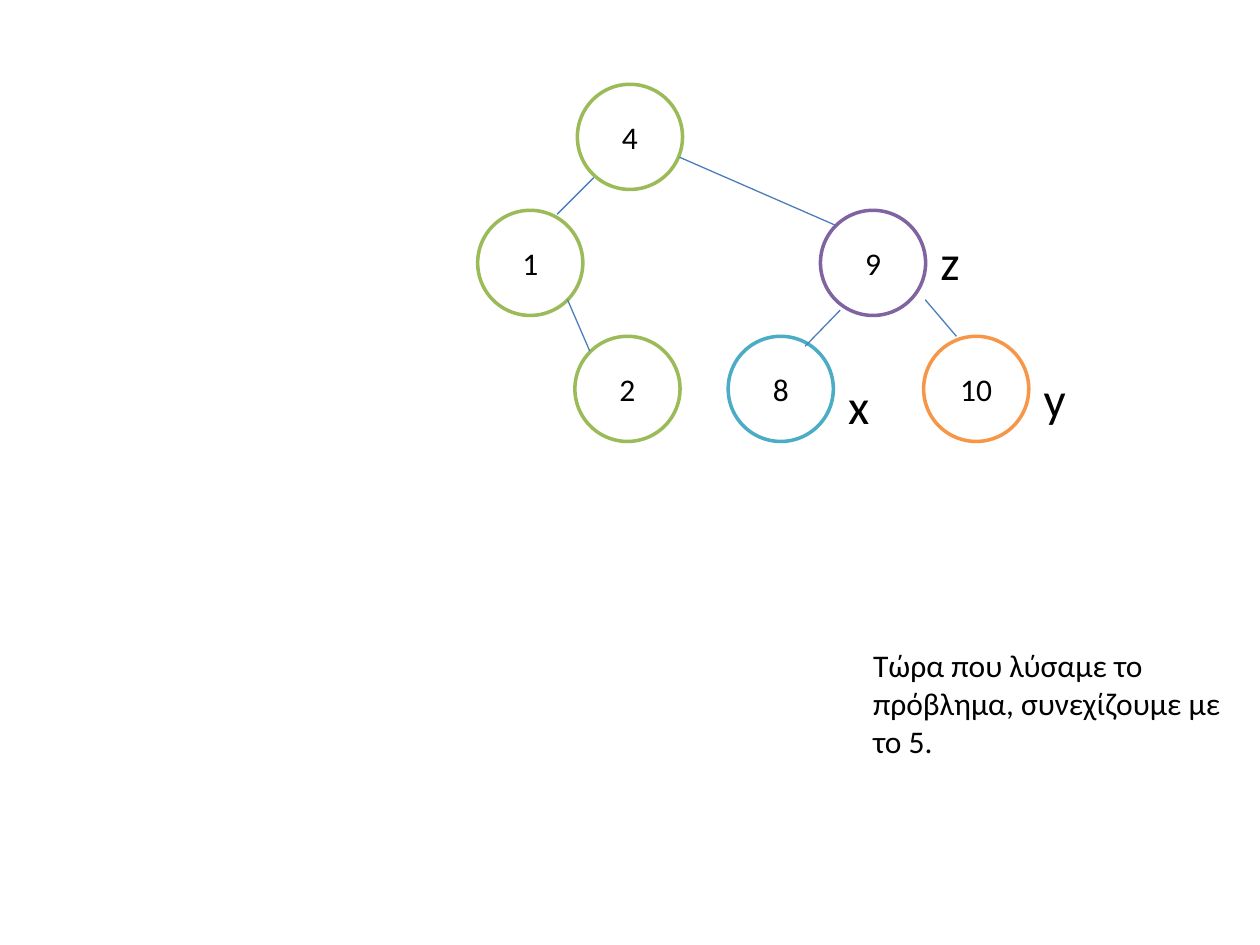
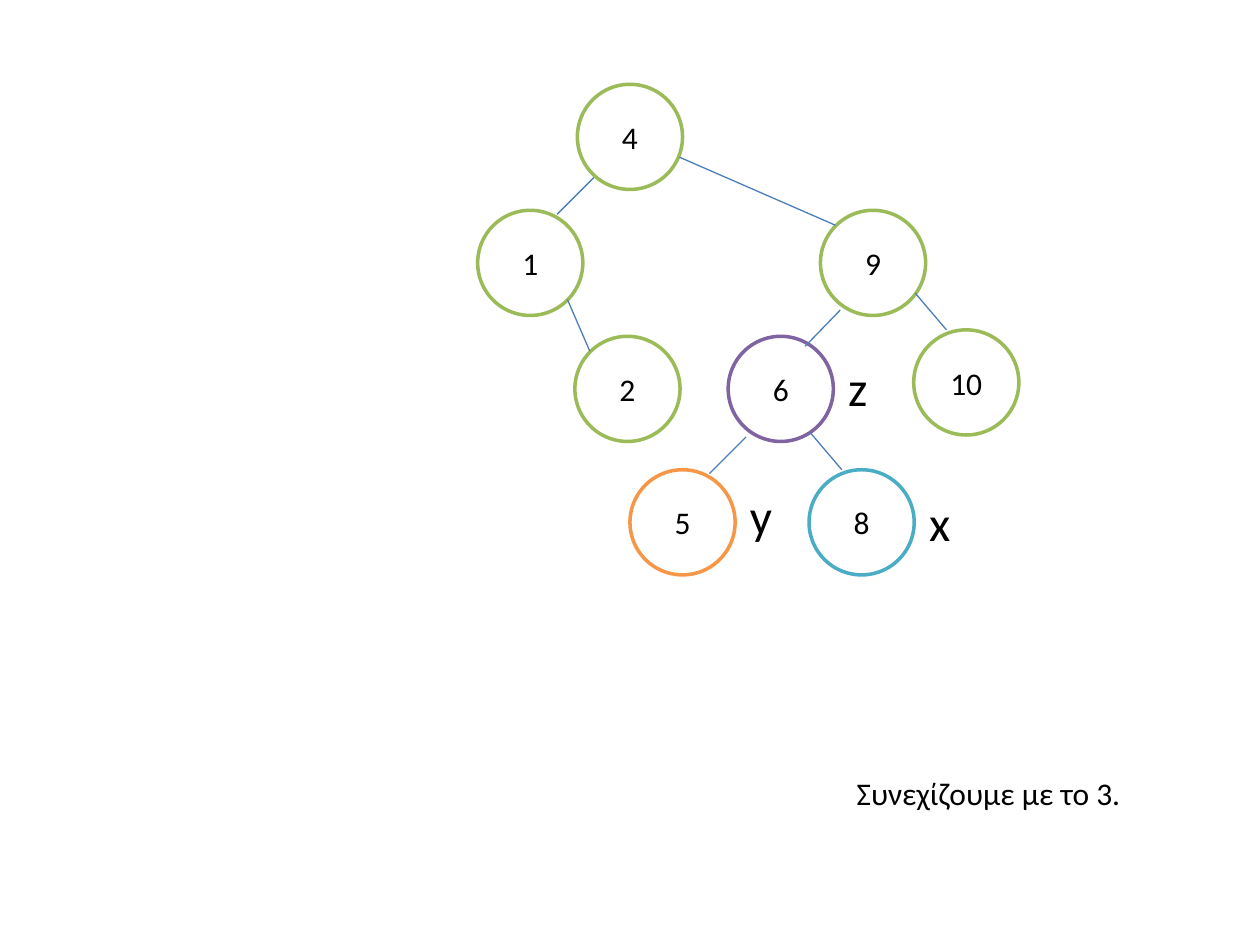
from dataclasses import dataclass

from lxml import etree
from pptx import Presentation
from pptx import util as u
from pptx.dml import color
from pptx.enum import shapes, text
from pptx.oxml import ns

FONT = "Calibri"
BLACK, WHITE, EDGE = "000000", "FFFFFF", "4B7EBC"
# Ring colour follows the mark beside the node
RINGS = {"": "9BBB59", "x": "4BACC6", "y": "F79646", "z": "8064A2"}

# All lengths are in centimetres
TREE = (9.63, 1.70)
NODE = 2.12
LEVEL = 2.54
LEAF_LEVEL = 7.77
MARK_GAP = 2.17

# Edge ends (x, y, x, y), measured from the child's top-left corner
LEFT = (2.34, -0.66, 1.60, 0.08)
INNER = (2.26, -0.53, 1.55, 0.20)
RIGHT = (0.66, 0, 0.03, -0.74)
STEEP = (0.30, 0.30, -0.15, -0.74)
LONG = (-2.84, -1.07, 0.30, 0.30)


@dataclass
class Node:
    label: str
    left: float
    top: float
    edge: tuple = ()
    mark: str = ""
    mark_drop: float = 0


def rgb(value):
    return color.RGBColor.from_string(value)


def add_span(para, words, size):
    span = para.add_run()
    span.text = words
    span.font.name = FONT
    span.font.size = u.Pt(size)
    span.font.color.rgb = rgb(BLACK)


def add_text(page, left, top, width, height, words, size):
    box = page.shapes.add_textbox(*map(u.Cm, (left, top, width, height)))
    box.text_frame.word_wrap = True
    box.text_frame.auto_size = text.MSO_AUTO_SIZE.SHAPE_TO_FIT_TEXT
    add_span(box.text_frame.paragraphs[0], words, size)


def add_circle(page, left, top, node):
    circle = page.shapes.add_shape(
        shapes.MSO_SHAPE.OVAL, *map(u.Cm, (left, top, NODE, NODE)))
    circle.shadow.inherit = False
    circle.fill.solid()
    circle.fill.fore_color.rgb = rgb(WHITE)
    circle.line.color.rgb = rgb(RINGS[node.mark])
    circle.line.width = u.Pt(2)
    circle.text_frame.vertical_anchor = text.MSO_ANCHOR.MIDDLE
    para = circle.text_frame.paragraphs[0]
    para.alignment = text.PP_ALIGN.CENTER
    add_span(para, node.label, 18)


def add_edge(page, left, top, ends):
    x1, y1, x2, y2 = ends
    line = page.shapes.add_connector(
        shapes.MSO_CONNECTOR.STRAIGHT,
        *map(u.Cm, (left + x1, top + y1, left + x2, top + y2)))
    line.line.color.rgb = rgb(EDGE)
    line.line.width = u.Pt(0.75)
    etree.SubElement(line._element.spPr, ns.qn("a:effectLst"))


def add_tree(page, box, nodes):
    placed = [(box[0] + node.left, box[1] + node.top, node) for node in nodes]
    # Circles, each with the edge to its parent
    for left, top, node in placed:
        add_circle(page, left, top, node)
        if node.edge:
            add_edge(page, left, top, node.edge)
    # Letters beside the nodes being rotated
    for left, top, node in placed:
        if node.mark:
            add_text(page, left + MARK_GAP, top + node.mark_drop,
                     1.9, 1.45, node.mark, 28)


def add_step(deck, nodes, caption, caption_box):
    page = deck.slides.add_slide(deck.slide_layouts[6])
    add_tree(page, TREE, nodes)
    add_text(page, *caption_box, caption, 18)


def main():
    deck = Presentation()
    deck.slide_width, deck.slide_height = u.Cm(25.4), u.Cm(19.05)

    # Nodes that stay the same in both steps
    stable = [
        Node("4", 2.01, 0),
        Node("1", 0, LEVEL, LEFT),
        Node("2", 1.96, 2 * LEVEL, STEEP),
    ]

    # Step 1: the tree after the rotation
    add_step(deck, stable + [
        Node("9", 6.91, LEVEL, LONG, "z", 0.30),
        Node("10", 8.99, 2 * LEVEL, RIGHT, "y", 0.53),
        Node("8", 5.05, 2 * LEVEL, INNER, "x", 0.66),
    ], "Τώρα που λύσαμε το πρόβλημα, συνεχίζουμε με το 5.",
        (17.35, 12.90, 8.05, 2.57))

    # Step 2: the tree with 5 inserted and balanced
    add_step(deck, stable + [
        Node("9", 6.91, LEVEL, LONG),
        Node("10", 8.79, 4.95, RIGHT),
        Node("6", 5.05, 2 * LEVEL, INNER, "z", 0.30),
        Node("5", 3.07, LEAF_LEVEL, LEFT, "y", 0.20),
        Node("8", 6.68, LEAF_LEVEL, RIGHT, "x", 0.33),
    ], "Συνεχίζουμε με το 3.", (17.02, 15.47, 8.05, 1.02))

    deck.save("out.pptx")


if __name__ == "__main__":
    main()
